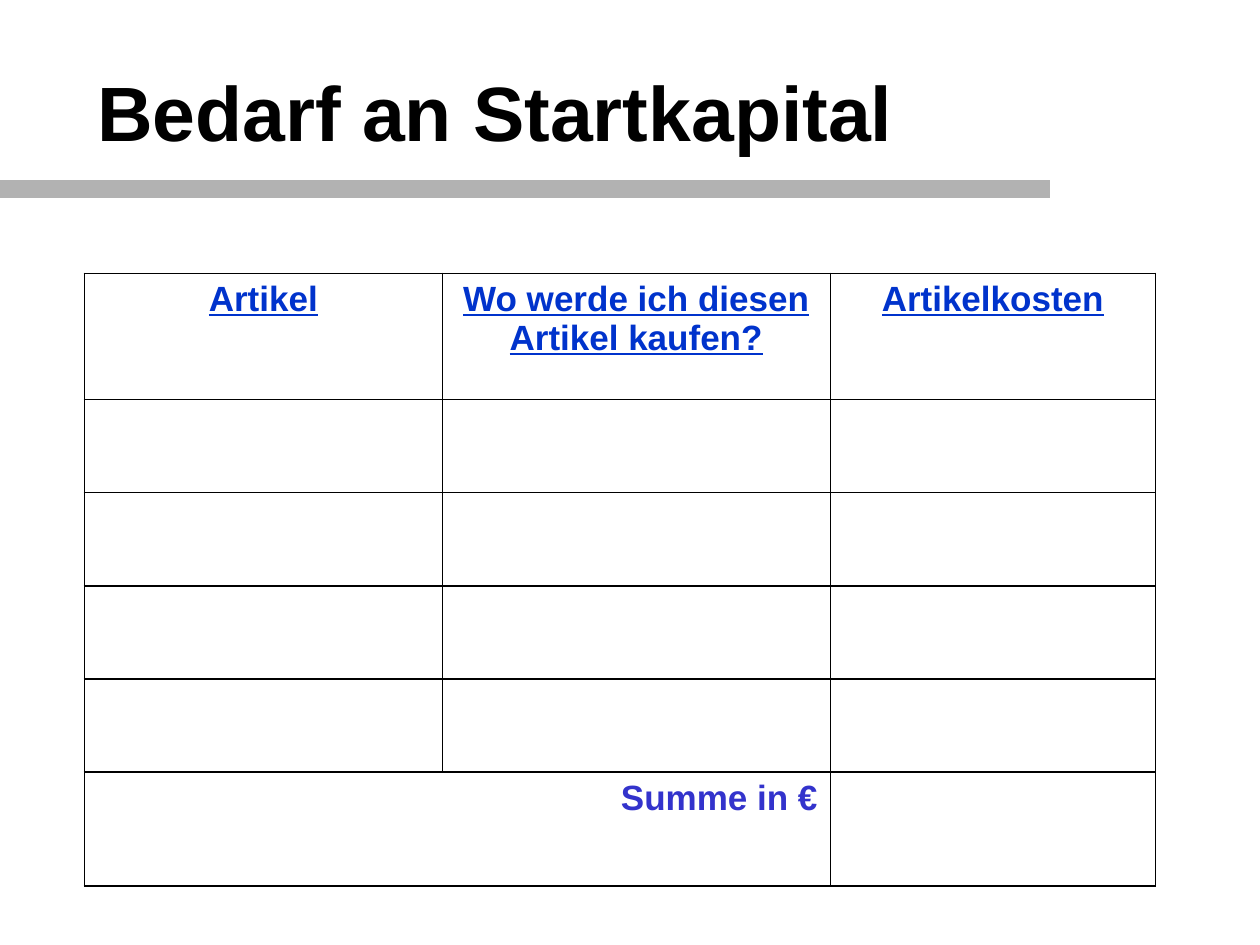
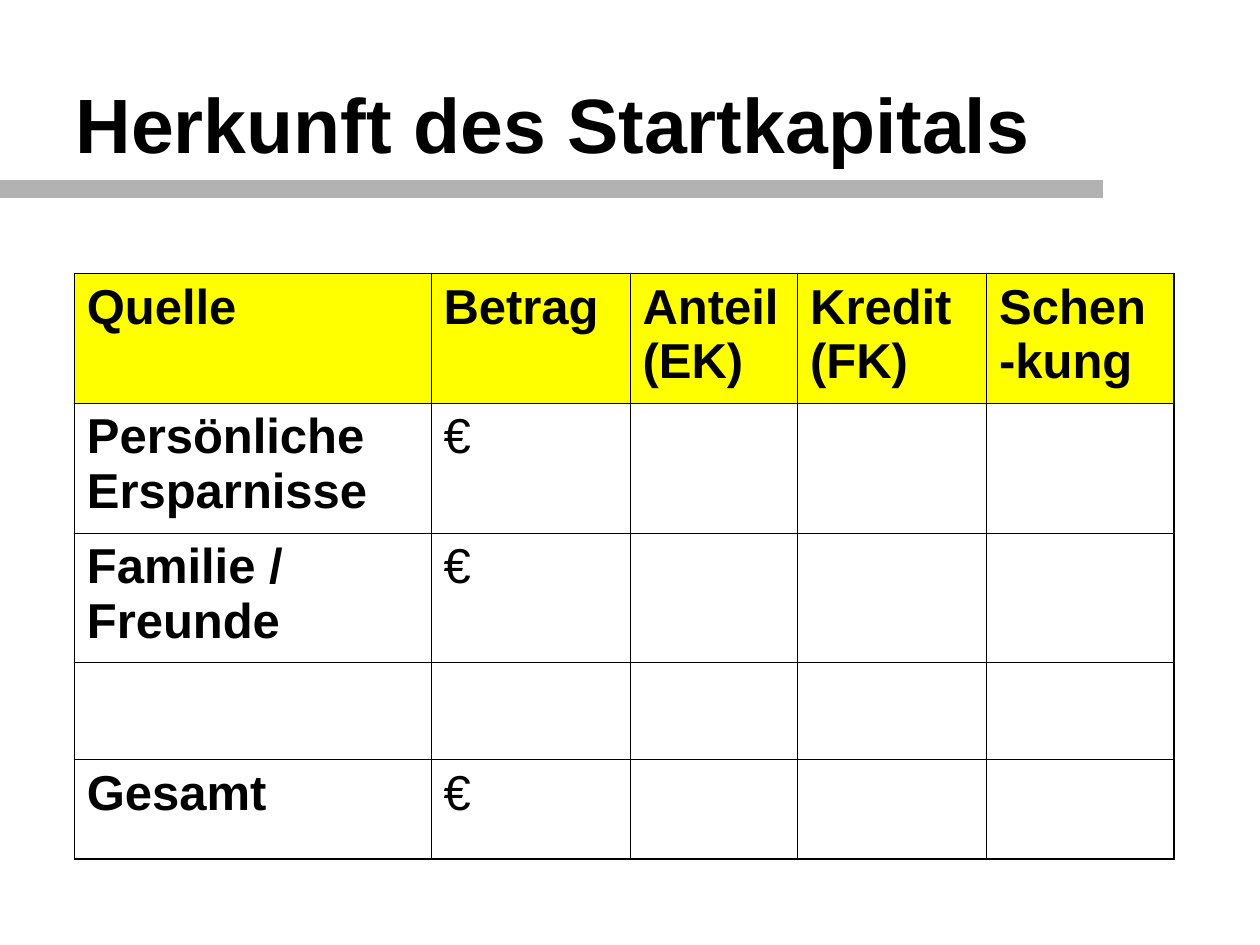
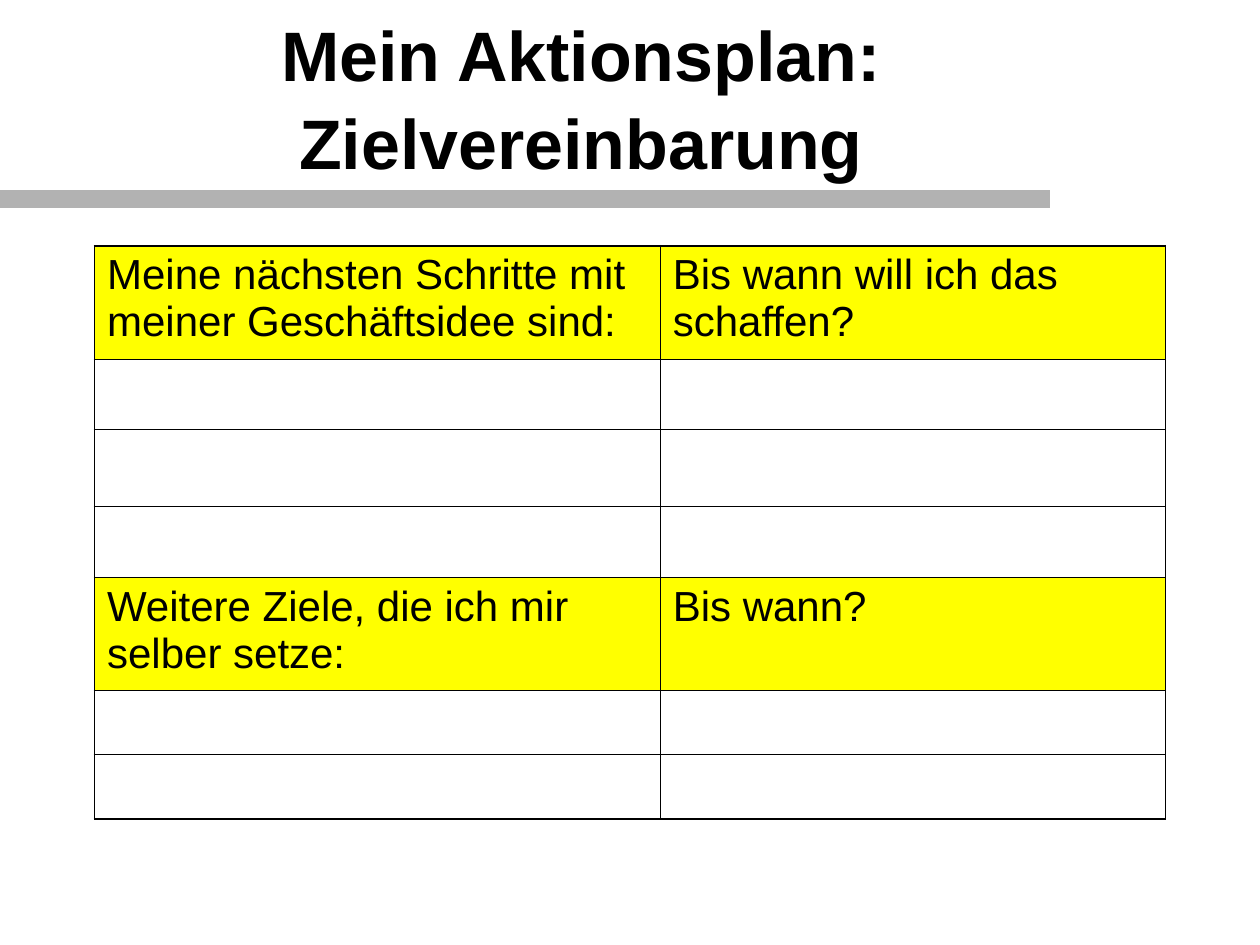
from lxml.etree import SubElement
from pptx import Presentation
from pptx.dml.color import RGBColor
from pptx.enum.shapes import MSO_CONNECTOR
from pptx.enum.text import MSO_ANCHOR, MSO_AUTO_SIZE, PP_ALIGN
from pptx.oxml.ns import qn
from pptx.util import Inches, Pt

FONT = "Arial"
COLORS = {
    "text": "000000",
    "band": "B2B2B2",
    "grid": "000000",
    "highlight": "FFFF00",
    "heading": "0033CC",
    "total": "3333CC",
}
THIN, THICK = 0.45, 1.08
TITLE_ONLY = 5


def rgb(name):
    return RGBColor.from_string(COLORS[name])


def format_text(paragraph, size, color="text", bold=False, underline=False, align=PP_ALIGN.LEFT):
    paragraph.alignment = align
    for run in paragraph.runs:
        font = run.font
        font.name = FONT
        font.size = Pt(size)
        font.bold = bold
        font.underline = underline
        font.color.rgb = rgb(color)


def add_title(slide, text, left, top, size=44, indent=0.1, spacing=1.0, align=PP_ALIGN.LEFT):
    title = slide.shapes.title
    title.left, title.top = Inches(left), Inches(top)
    title.width, title.height = Inches(8.5), Inches(1.25)
    frame = title.text_frame
    frame.text = text
    frame.word_wrap = True
    frame.auto_size = MSO_AUTO_SIZE.NONE
    frame.vertical_anchor = MSO_ANCHOR.MIDDLE
    frame.margin_left = Inches(indent)
    heading = frame.paragraphs[0]
    heading.line_spacing = spacing
    format_text(heading, size, bold=True, align=align)


def add_band(slide, length, y=1.5):
    """Draw the grey rule that runs in from the left edge below the title."""
    band = slide.shapes.add_connector(
        MSO_CONNECTOR.STRAIGHT, 0, Inches(y), Inches(length), Inches(y))
    band.line.color.rgb = rgb("band")
    band.line.width = Pt(10)
    SubElement(band._element.spPr, qn("a:effectLst"))


def set_borders(cell, **widths):
    """Set border widths in points, keyed by side in the order L, R, T, B."""
    properties = cell._tc.get_or_add_tcPr()
    for side, width in widths.items():
        line = SubElement(properties, qn(f"a:ln{side}"), w=str(Pt(width)))
        fill = SubElement(line, qn("a:solidFill"))
        SubElement(fill, qn("a:srgbClr"), val=COLORS["grid"])


def add_grid(slide, left, top, widths, heights, texts, highlighted=(), row_line=THIN):
    """Add a table with a thick frame; texts maps (row, column) to wording."""
    table = slide.shapes.add_table(
        len(heights), len(widths), Inches(left), Inches(top),
        Inches(sum(widths)), Inches(sum(heights))).table
    table.first_row = table.horz_banding = False
    for column, width in zip(table.columns, widths):
        column.width = Inches(width)
    for row, height in zip(table.rows, heights):
        row.height = Inches(height)

    last_row, last_column = len(heights) - 1, len(widths) - 1
    for r in range(len(heights)):
        for c in range(len(widths)):
            cell = table.cell(r, c)
            set_borders(
                cell,
                L=THICK if c == 0 else THIN,
                R=THICK if c == last_column else THIN,
                T=THICK if r == 0 else row_line,
                B=THICK if r == last_row else row_line)
            if r in highlighted:
                cell.fill.solid()
                cell.fill.fore_color.rgb = rgb("highlight")
            else:
                cell.fill.background()
            cell.text_frame.text = texts.get((r, c), "")
    return table


def build_capital_needs(slide):
    add_title(slide, "Bedarf an Startkapital", -0.33, 0.25, indent=1.1)
    add_band(slide, 8.33)
    headings = ["Artikel", "Wo werde ich diesen Artikel kaufen?", "Artikelkosten"]
    texts = {(0, c): heading for c, heading in enumerate(headings)}
    texts[5, 0] = "Summe in €"
    table = add_grid(slide, 0.67, 2.17, [2.84, 3.08, 2.58],
                     [1] + [0.74] * 4 + [0.9], texts, row_line=THICK)
    for cell in table.rows[0].cells:
        format_text(cell.text_frame.paragraphs[0], 20, "heading",
                    bold=True, underline=True, align=PP_ALIGN.CENTER)
    total = table.cell(5, 0)
    total.merge(table.cell(5, 1))
    format_text(total.text_frame.paragraphs[0], 20, "total", bold=True, align=PP_ALIGN.RIGHT)


def build_capital_sources(slide):
    add_title(slide, "Herkunft des Startkapitals", 0.5, 0.44, spacing=0.7)
    add_band(slide, 8.75)
    headings = ["Quelle", "Betrag", "Anteil (EK)", "Kredit (FK)", "Schen-kung"]
    sources = {1: "Persönliche Ersparnisse", 2: "Familie / Freunde", 4: "Gesamt"}
    texts = {(0, c): heading for c, heading in enumerate(headings)}
    for r, source in sources.items():
        texts[r, 0], texts[r, 1] = source, "€"
    table = add_grid(slide, 0.59, 2.17, [2.83, 1.58, 1.33, 1.5, 1.49],
                     [1.03] * 3 + [0.77, 0.79], texts, highlighted=[0])
    for r, c in texts:
        format_text(table.cell(r, c).text_frame.paragraphs[0], 28, bold=r == 0 or c == 0)


def build_action_plan(slide):
    add_title(slide, "Mein Aktionsplan: Zielvereinbarung", 0.36, 0.13,
              size=40, spacing=1.05, align=PP_ALIGN.CENTER)
    texts = {
        (0, 0): "Meine nächsten Schritte mit meiner Geschäftsidee sind:",
        (0, 1): "Bis wann will ich das schaffen?",
        (4, 0): "Weitere Ziele, die ich mir selber setze:",
        (4, 1): "Bis wann?",
    }
    table = add_grid(slide, 0.75, 1.95, [4.49, 4.01],
                     [0.9, 0.56, 0.61, 0.56, 0.9, 0.51, 0.51], texts, highlighted=[0, 4])
    for r, c in texts:
        format_text(table.cell(r, c).text_frame.paragraphs[0], 24)
    add_band(slide, 8.33, y=1.58)


def main():
    deck = Presentation()
    deck.slide_width, deck.slide_height = Inches(10), Inches(7.5)
    for build in (build_capital_needs, build_capital_sources, build_action_plan):
        build(deck.slides.add_slide(deck.slide_layouts[TITLE_ONLY]))
    deck.save("out.pptx")


if __name__ == "__main__":
    main()
